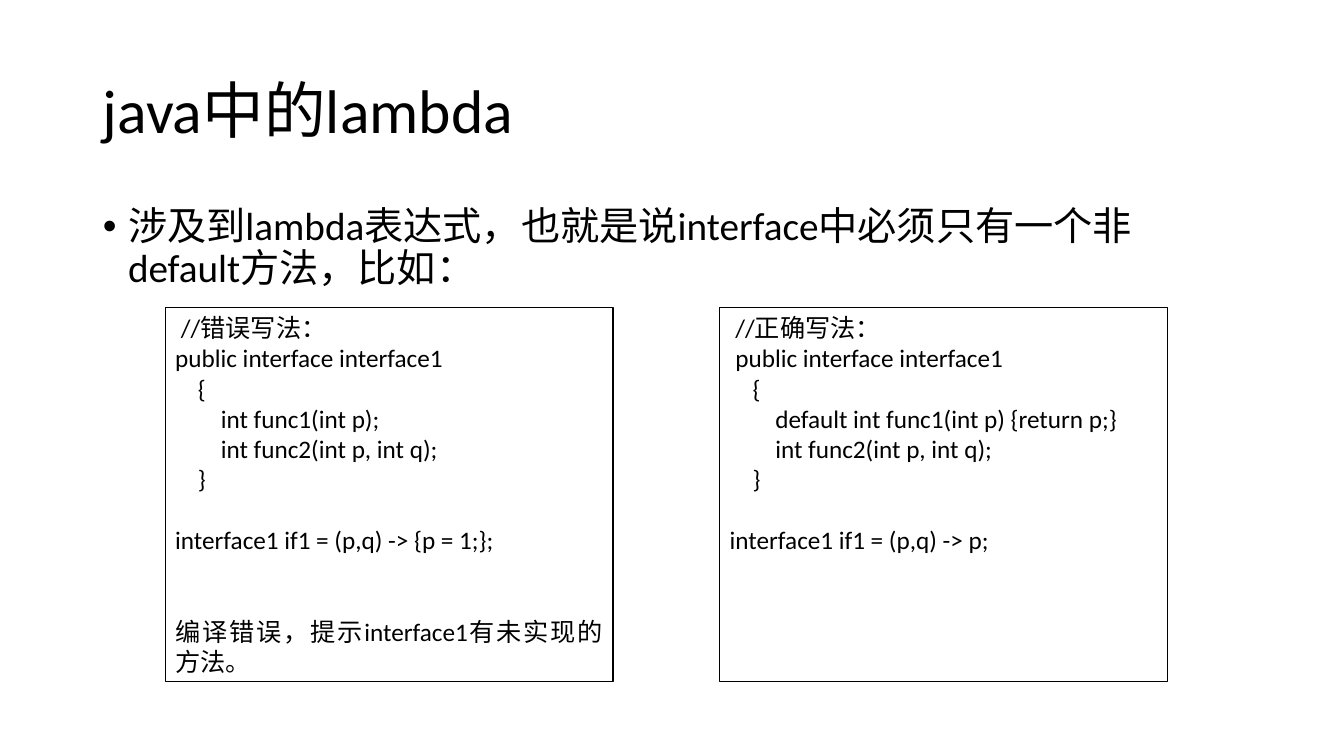
from dataclasses import dataclass
from pptx import Presentation, util as u
from pptx.dml.color import RGBColor
from pptx.enum import shapes, text
from lxml import etree


@dataclass(frozen=True)
class Theme:
    font: str = "Calibri"
    ink: RGBColor = RGBColor(0, 0, 0)
    paper: RGBColor = RGBColor(255, 255, 255)
    title: int = 44
    body: int = 28
    code: int = 18
    line: int = 22
    space: float = 4.07


theme = Theme()
WIDE, HIGH = u.Inches(13.33), u.Inches(7.5)

HEAD = (6.9, 5.33, 86.25, 19.33)
BODY = (6.9, 26.67, 86.25, 63.47)
PAIR = (12.3, 40.67, 74.57, 49.47)
GAP = 7.95

WRONG = [
    (1, 0, "//错误写法："),
    (0, 0, "public interface interface1"),
    (4, 0, "{"),
    (8, 0, "int func1(int p);"),
    (8, 0, "int func2(int p, int q);"),
    (4, 0, "}"),
    (0, 1, "interface1 if1 = (p,q) -> {p = 1;};"),
    (0, 2, "编译错误，提示interface1有未实现的方法。"),
]
RIGHT = [
    (1, 0, "//正确写法："),
    (1, 0, "public interface interface1"),
    (4, 0, "{"),
    (8, 0, "default int func1(int p) {return p;}"),
    (8, 0, "int func2(int p, int q);"),
    (4, 0, "}"),
    (0, 1, "interface1 if1 = (p,q) -> p;"),
]


def scale(box):
    x, y, w, h = box
    return [int(n * full / 100) for n, full in
            ((x, WIDE), (y, HIGH), (w, WIDE), (h, HIGH))]


def write(para, words, size):
    run = para.add_run()
    run.text = words
    run.font.name = theme.font
    run.font.size = u.Pt(size)
    run.font.color.rgb = theme.ink


def indent(para, left, first=0):
    props = para._p.get_or_add_pPr()
    props.set("marL", str(int(left)))
    props.set("indent", str(int(first)))
    return props


def place(holder, box, words, size, anchor):
    holder.left, holder.top, holder.width, holder.height = scale(box)
    frame = holder.text_frame
    frame.auto_size = text.MSO_AUTO_SIZE.NONE
    frame.vertical_anchor = anchor
    para = frame.paragraphs[0]
    para.alignment = text.PP_ALIGN.LEFT
    para.line_spacing = 0.9
    write(para, words, size)
    return para


def head(slide, box):
    place(slide.shapes.title, box, "java中的lambda", theme.title,
          text.MSO_ANCHOR.MIDDLE)


def body(slide, box):
    para = place(slide.placeholders[1], box,
                 "涉及到lambda表达式，也就是说interface中必须只有一个非default方法，比如：",
                 theme.body, text.MSO_ANCHOR.TOP)
    para.space_before = u.Pt(10)
    props = indent(para, u.Inches(0.25), -u.Inches(0.25))
    space = props.nsmap["a"]
    etree.SubElement(props, f"{{{space}}}buFont", typeface="Arial")
    etree.SubElement(props, f"{{{space}}}buChar", char="•")


def code(slide, box, lines):
    panel = slide.shapes.add_shape(shapes.MSO_SHAPE.RECTANGLE, *scale(box))
    panel.shadow.inherit = False
    panel.fill.background()
    panel.line.color.rgb = theme.ink
    panel.line.width = u.Pt(1)
    frame = panel.text_frame
    frame.word_wrap = True
    frame.vertical_anchor = text.MSO_ANCHOR.TOP
    for at, (depth, skip, words) in enumerate(lines):
        para = frame.add_paragraph() if at else frame.paragraphs[0]
        para.alignment = text.PP_ALIGN.JUSTIFY
        para.space_before = u.Pt(skip * theme.line)
        indent(para, u.Pt(depth * theme.space))
        write(para, words, theme.code)


def pair(slide, box):
    x, y, w, h = box
    wide = (w - GAP) / 2
    for at, lines in enumerate((WRONG, RIGHT)):
        code(slide, (x + at * (wide + GAP), y, wide, h), lines)


deck = Presentation()
deck.slide_width, deck.slide_height = WIDE, HIGH
slide = deck.slides.add_slide(deck.slide_layouts[1])
slide.background.fill.solid()
slide.background.fill.fore_color.rgb = theme.paper
head(slide, HEAD)
body(slide, BODY)
pair(slide, PAIR)
deck.save("out.pptx")
